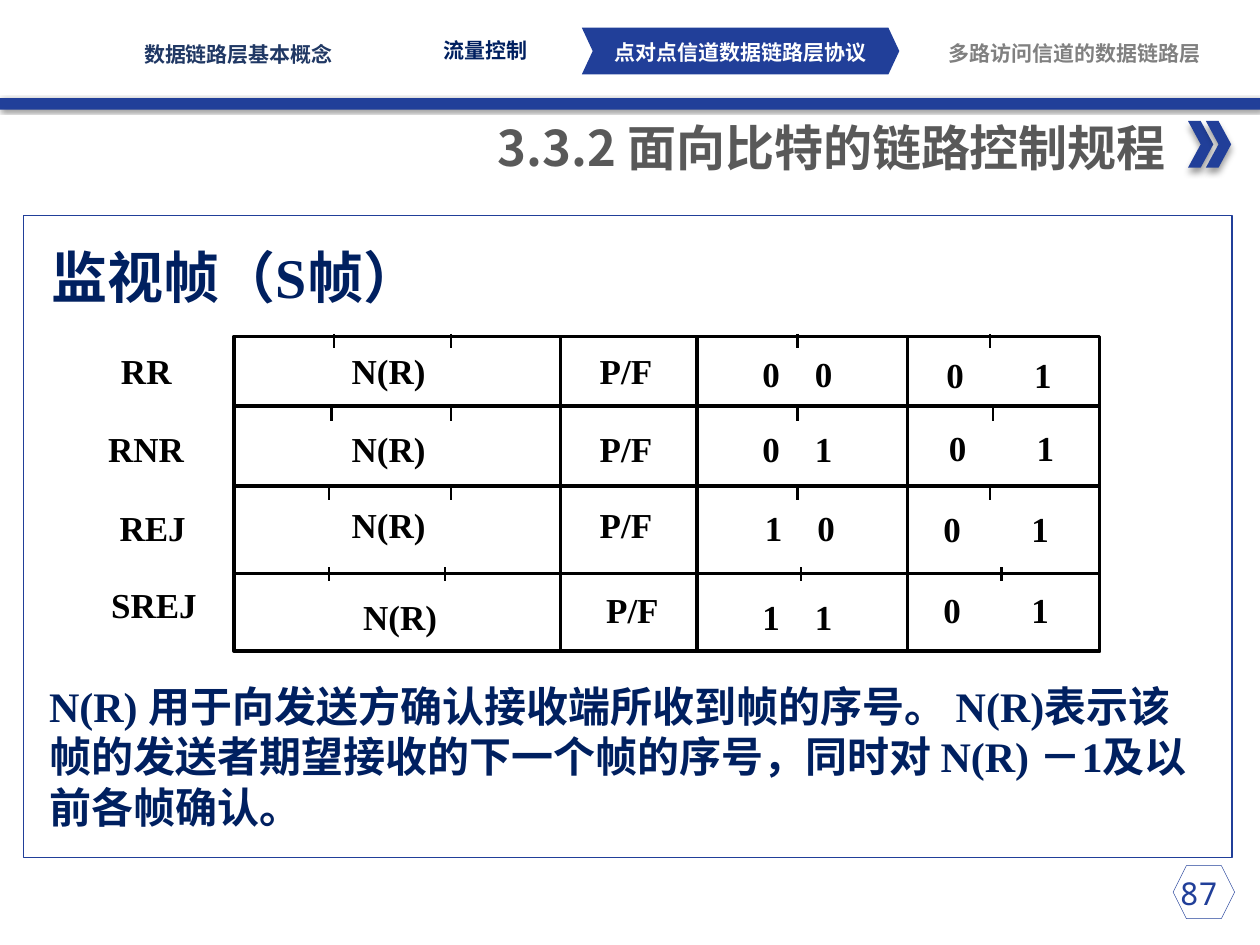
from dataclasses import dataclass

from lxml import etree
from pptx import Presentation
from pptx.dml.color import RGBColor
from pptx.enum.shapes import MSO_CONNECTOR, MSO_SHAPE
from pptx.enum.text import MSO_ANCHOR, PP_ALIGN
from pptx.oxml.ns import qn
from pptx.util import Cm, Pt

STRAIGHT = MSO_CONNECTOR.STRAIGHT
RECTANGLE, CHEVRON, HEXAGON = MSO_SHAPE.RECTANGLE, MSO_SHAPE.CHEVRON, MSO_SHAPE.HEXAGON
LEFT, CENTER, RIGHT = PP_ALIGN.LEFT, PP_ALIGN.CENTER, PP_ALIGN.RIGHT
TOP, MIDDLE, BOTTOM = MSO_ANCHOR.TOP, MSO_ANCHOR.MIDDLE, MSO_ANCHOR.BOTTOM


@dataclass(frozen=True)
class Theme:
    blue: str = "213F99"
    navy: str = "002060"
    slate: str = "203864"
    title_gray: str = "595959"
    muted: str = "808080"
    black: str = "000000"
    white: str = "FFFFFF"
    serif: str = "Times New Roman"
    sans: str = "Noto Sans CJK SC"
    navigation_font: str = "Roboto Condensed"
    number_font: str = "Noto Sans Mono"
    navigation_size: int = 12
    number_size: int = 18
    cell_size: int = 20
    body_size: int = 24
    title_size: int = 28
    heading_size: int = 32
    grid_width: float = 2
    tick_width: float = 1.47


THEME = Theme()

# Boxes are (left, top, width, height) in centimetres.
NAVIGATION = [
    ("数据链路层基本概念", (2.46, 0.84, 4.7, 0.51), THEME.slate),
    ("流量控制", (8.13, 0.76, 3.3, 0.51), THEME.navy),
    ("点对点信道数据链路层协议", (12.07, 0.79, 5.72, 0.51), THEME.white),
    ("多路访问信道的数据链路层", (19.08, 0.81, 5.18, 0.51), THEME.muted),
]
TITLE = [("3.3.2 ", THEME.sans), ("面向比特的链路控制规程", THEME.serif)]
HEADING = "监视帧（S帧）"
EXPLANATION = ("N(R) 用于向发送方确认接收端所收到帧的序号。 N(R)表示该帧的发送者"
               "期望接收的下一个帧的序号，同时对 N(R) －1及以前各帧确认。")
PAGE_NUMBER = "87"

# Each frame cell: text, left, bottom.
FRAME_ROWS = [
    [("RR", 2.44, 7.9), ("N(R)", 7.09, 7.9), ("P/F", 12.09, 7.9),
     ("0\t0", 15.37, 7.95), ("0\t1", 19.08, 7.98)],
    [("RNR", 2.18, 9.47), ("N(R)", 7.09, 9.47), ("P/F", 12.09, 9.47),
     ("0\t1", 15.37, 9.47), ("0\t1", 19.13, 9.45)],
    [("REJ", 2.41, 11.05), ("N(R)", 7.09, 11), ("P/F", 12.09, 11),
     ("1\t0", 15.42, 11.05), ("0\t1", 19.02, 11.07)],
    [("SREJ", 2.24, 12.62), ("N(R)", 7.32, 12.85), ("P/F", 12.22, 12.72),
     ("1\t1", 15.37, 12.85), ("0\t1", 19.02, 12.72)],
]
COLUMN_WIDTHS = [1.9, 1.86, 1.4, 1.5, 2.4]
BIT_SPACING = [None, None, None, 1.06, 1.77]
CELL_HEIGHT = 0.7

GRID_LEFT, GRID_TOP, GRID_RIGHT, GRID_BOTTOM = 4.72, 6.78, 22.17, 13.13
ROW_LINES = [8.18, 9.8, 11.56]
COLUMN_LINES = [11.3, 14.05, 18.29]
TICK_LENGTH = 0.28
TICK_ROWS = [  # top of the ticks, then their horizontal places
    (6.73, [6.73, 9.09, 16.08, 19.96]),
    (8.2, [6.68, 9.09, 16.08, 20.02]),
    (9.8, [6.63, 9.09, 16.08, 19.96]),
    (11.43, [6.63, 8.97, 16.15, 20.19]),
]


def lengths(values):
    return [Cm(value) for value in values]


def add_effects(shape, shadow=None):
    """Set the effect list; shadow is (blur pt, distance pt, degrees)."""
    effects = etree.SubElement(shape._element.spPr, qn("a:effectLst"))
    if shadow:
        blur, distance, degrees = shadow
        outer = etree.SubElement(effects, qn("a:outerShdw"), blurRad=str(Pt(blur)),
                                 dist=str(Pt(distance)), dir=str(degrees * 60000))
        color = etree.SubElement(outer, qn("a:srgbClr"), val=THEME.black)
        etree.SubElement(color, qn("a:alpha"), val="40000")


def add_panel(slide, kind, box, fill=None, line=None, width=0.75, shadow=None):
    shape = slide.shapes.add_shape(kind, *lengths(box))
    if fill:
        shape.fill.solid()
        shape.fill.fore_color.rgb = RGBColor.from_string(fill)
    else:
        shape.fill.background()
    if line:
        shape.line.color.rgb = RGBColor.from_string(line)
        shape.line.width = Pt(width)
    else:
        shape.line.fill.background()
    add_effects(shape, shadow)
    return shape


def add_text(slide, runs, box, size, color, bold=True, align=LEFT, anchor=TOP,
             insets=(0, 0), wrap=True, tab=None):
    """Add one paragraph of (text, font) runs; tab is an optional stop in cm."""
    frame = slide.shapes.add_textbox(*lengths(box)).text_frame
    frame.word_wrap = wrap
    frame.vertical_anchor = anchor
    frame.margin_left = frame.margin_right = Cm(insets[0])
    frame.margin_top = frame.margin_bottom = Cm(insets[1])
    paragraph = frame.paragraphs[0]
    paragraph.alignment = align
    if tab:
        stops = etree.SubElement(paragraph._p.get_or_add_pPr(), qn("a:tabLst"))
        etree.SubElement(stops, qn("a:tab"), pos=str(Cm(tab)), algn="l")
    for text, font in runs:
        run = paragraph.add_run()
        run.text = text
        run.font.name = font
        run.font.size = Pt(size)
        run.font.bold = bold
        run.font.color.rgb = RGBColor.from_string(color)
        etree.SubElement(run._r.get_or_add_rPr(), qn("a:ea"), typeface=THEME.sans)


def add_line(slide, start, end, width):
    line = slide.shapes.add_connector(STRAIGHT, *lengths(start + end))
    line.line.color.rgb = RGBColor.from_string(THEME.black)
    line.line.width = Pt(width)
    add_effects(line)


def add_header(slide):
    add_panel(slide, RECTANGLE, (0, 1.98, 25.4, 0.23), THEME.blue, shadow=(2, 1, 45))
    for left in (23.95, 24.31):
        add_panel(slide, CHEVRON, (left, 2.44, 0.51, 0.94), THEME.blue, shadow=(4, 3, 90))
    active_tab = add_panel(slide, CHEVRON, (11.73, 0.56, 6.4, 0.94), THEME.blue)
    active_tab.adjustments[0] = 0.234
    for text, box, color in NAVIGATION:
        add_text(slide, [(text, THEME.navigation_font)], box, THEME.navigation_size,
                 color, align=CENTER, anchor=MIDDLE)
    add_text(slide, TITLE, (9.5, 2.24, 14.25, 1.45), THEME.title_size,
             THEME.title_gray, align=RIGHT, insets=(0.25, 0.13), wrap=False)


def add_frame_grid(slide):
    add_panel(slide, RECTANGLE, (GRID_LEFT, GRID_TOP, GRID_RIGHT - GRID_LEFT,
                                 GRID_BOTTOM - GRID_TOP), line=THEME.black,
              width=THEME.grid_width)
    for y in ROW_LINES:
        add_line(slide, (GRID_LEFT, y), (GRID_RIGHT, y), THEME.grid_width)
    for x in COLUMN_LINES:
        add_line(slide, (x, GRID_TOP), (x, GRID_BOTTOM), THEME.grid_width)
    for top, places in TICK_ROWS:
        for x in places:
            add_line(slide, (x, top), (x, top + TICK_LENGTH), THEME.tick_width)
    for row in FRAME_ROWS:
        for (text, left, bottom), width, tab in zip(row, COLUMN_WIDTHS, BIT_SPACING):
            add_text(slide, [(text, THEME.serif)],
                     (left, bottom - CELL_HEIGHT, width, CELL_HEIGHT),
                     THEME.cell_size, THEME.black, anchor=BOTTOM, wrap=False, tab=tab)


def main():
    presentation = Presentation()
    presentation.slide_width, presentation.slide_height = Cm(25.4), Cm(19.05)
    slide = presentation.slides.add_slide(presentation.slide_layouts[6])
    add_header(slide)
    add_panel(slide, RECTANGLE, (0.48, 4.34, 24.36, 12.95), line=THEME.blue)
    add_text(slide, [(HEADING, THEME.serif)], (0.79, 4.75, 23.6, 1.65),
             THEME.heading_size, THEME.navy, insets=(0.25, 0.13))
    add_frame_grid(slide)
    add_text(slide, [(EXPLANATION, THEME.serif)], (0.74, 13.59, 23.8, 3.33),
             THEME.body_size, THEME.navy, insets=(0.25, 0.13))
    add_panel(slide, HEXAGON, (23.65, 17.45, 1.24, 1.07), line=THEME.blue, width=0.25)
    add_text(slide, [(PAGE_NUMBER, THEME.number_font)], (23.06, 17.48, 2.21, 1.02),
             THEME.number_size, THEME.blue, bold=False, align=CENTER, insets=(0.25, 0.13))
    presentation.save("out.pptx")


if __name__ == "__main__":
    main()
